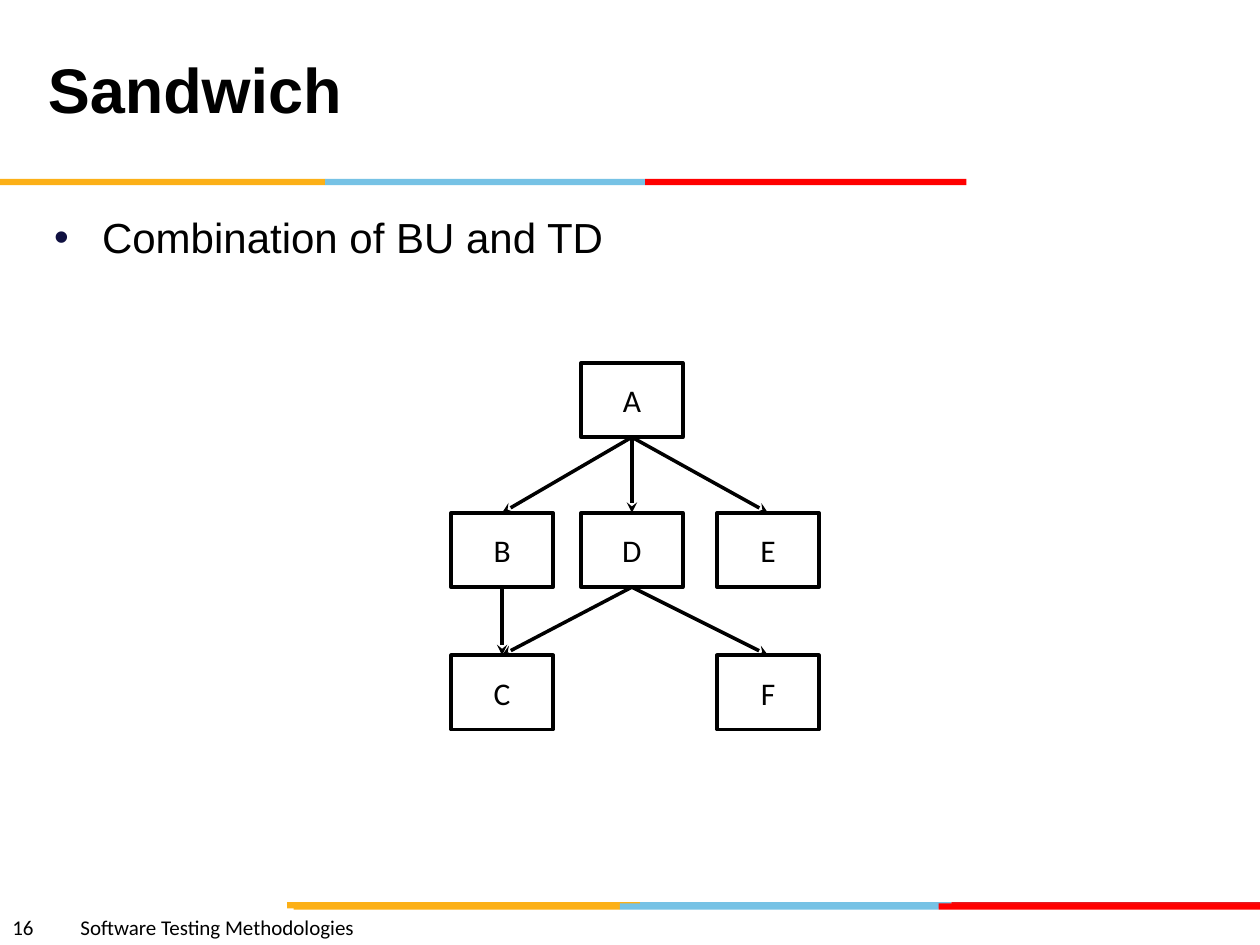
from lxml.etree import SubElement
from pptx import Presentation
from pptx.dml.color import RGBColor
from pptx.enum.shapes import MSO_CONNECTOR, MSO_SHAPE
from pptx.enum.text import MSO_ANCHOR, PP_ALIGN
from pptx.oxml.ns import qn
from pptx.util import Inches, Pt

BLACK = RGBColor(0x00, 0x00, 0x00)
WHITE = RGBColor(0xFF, 0xFF, 0xFF)
GOLD = RGBColor(0xFC, 0xB0, 0x17)
SKY = RGBColor(0x76, 0xC2, 0xE5)
CRIMSON = RGBColor(0xE3, 0x1C, 0x24)
RED = RGBColor(0xFF, 0x00, 0x00)

TITLE_FONT = {"name": "Arial", "size": Pt(36), "bold": True}
BODY_FONT = {"name": "Arial", "size": Pt(24)}
NODE_FONT = {"name": "Calibri", "size": Pt(18)}
FOOTER_FONT = {"name": "Calibri", "size": Pt(12)}

NODE_W, NODE_H = 0.81, 0.59
COLUMNS = (0, 1.03, 2.11)
ROWS = (0, 1.19, 2.32)
NODES = {"A": (1, 0), "B": (0, 1), "D": (1, 1), "E": (2, 1), "C": (0, 2), "F": (2, 2)}
EDGES = ("AB", "AD", "AE", "BC", "DC", "DF")
TOP_SITE, BOTTOM_SITE = 0, 2


def write(p, text, font):
    r = p.add_run()
    r.text = text
    for key, value in font.items():
        setattr(r.font, key, value)
    r.font.color.rgb = BLACK


def place(shape, x, y, w, h):
    box = {"left": x, "top": y, "width": w, "height": h}
    for key, value in box.items():
        setattr(shape, key, Inches(value))


def add_rect(s, x, y, w, h, color):
    sp = s.shapes.add_shape(MSO_SHAPE.RECTANGLE, Inches(x), Inches(y), Inches(w), Inches(h))
    sp.shadow.inherit = False
    sp.fill.solid()
    sp.fill.fore_color.rgb = color
    sp.line.fill.background()
    return sp


def add_stripe(s, y, edges, colors):
    """Draw adjoining colour bands between successive edges."""
    for left, right, color in zip(edges, edges[1:], colors):
        add_rect(s, left, y, right - left, 0.05, color)


def add_title(s, x, y, w, h):
    title = s.shapes.title
    place(title, x, y, w, h)
    tf = title.text_frame
    tf.vertical_anchor = MSO_ANCHOR.MIDDLE
    p = tf.paragraphs[0]
    p.alignment = PP_ALIGN.LEFT
    write(p, "Sandwich", TITLE_FONT)


def add_body(s, x, y, w, h):
    body = s.placeholders[1]
    place(body, x, y, w, h)
    p = body.text_frame.paragraphs[0]
    p.space_before = Pt(0)
    # Bullet with a hanging indent
    pPr = p._p.get_or_add_pPr()
    pPr.set("marL", str(Inches(0.38)))
    pPr.set("indent", str(-Inches(0.38)))
    SubElement(SubElement(pPr, qn("a:buClr")), qn("a:srgbClr")).set("val", "101141")
    SubElement(pPr, qn("a:buFont")).set("typeface", "Arial")
    SubElement(pPr, qn("a:buChar")).set("char", "•")
    write(p, "Combination of BU and TD", BODY_FONT)


def add_footer(s, x, y, w, h):
    tf = s.shapes.add_textbox(Inches(x), Inches(y), Inches(w), Inches(h)).text_frame
    tf.word_wrap = True
    p = tf.paragraphs[0]
    tabs = SubElement(p._p.get_or_add_pPr(), qn("a:tabLst"))
    tab = SubElement(tabs, qn("a:tab"))
    tab.set("pos", str(Inches(0.54)))
    tab.set("algn", "l")
    write(p, "16\tSoftware Testing Methodologies", FOOTER_FONT)


def add_node(s, x, y, label):
    sp = add_rect(s, x, y, NODE_W, NODE_H, WHITE)
    sp.line.color.rgb = BLACK
    sp.line.width = Pt(2)
    tf = sp.text_frame
    tf.vertical_anchor = MSO_ANCHOR.MIDDLE
    p = tf.paragraphs[0]
    p.alignment = PP_ALIGN.CENTER
    write(p, label, NODE_FONT)
    return sp


def add_arrow(s, parent, child):
    cxn = s.shapes.add_connector(MSO_CONNECTOR.STRAIGHT, 0, 0, 0, 0)
    cxn.begin_connect(parent, BOTTOM_SITE)
    cxn.end_connect(child, TOP_SITE)
    cxn.line.color.rgb = BLACK
    cxn.line.width = Pt(2)
    SubElement(cxn.line._get_or_add_ln(), qn("a:tailEnd")).set("type", "stealth")
    SubElement(cxn._element.spPr, qn("a:effectLst"))


def add_call_graph(s, x, y):
    nodes = {label: add_node(s, x + COLUMNS[col], y + ROWS[row], label)
             for label, (col, row) in NODES.items()}
    for parent, child in EDGES:
        add_arrow(s, nodes[parent], nodes[child])


def main():
    prs = Presentation()
    prs.slide_width, prs.slide_height = Inches(10), Inches(7.5)
    s = prs.slides.add_slide(prs.slide_layouts[1])
    # Footer stripes, one slightly offset over the other, and the title stripe
    add_stripe(s, 7.16, (2.28, 5.08, 7.55, 10), (GOLD, SKY, CRIMSON))
    add_stripe(s, 7.17, (2.33, 4.92, 7.45, 10), (GOLD, SKY, RED))
    add_stripe(s, 1.42, (0, 2.58, 5.12, 7.67), (GOLD, SKY, RED))
    add_footer(s, 0, 7.21, 5, 0.3)
    add_body(s, 0.33, 1.63, 9, 4.95)
    add_title(s, 0.28, 0.08, 6.85, 1.25)
    add_call_graph(s, 3.58, 2.88)
    prs.save("out.pptx")


if __name__ == "__main__":
    main()
